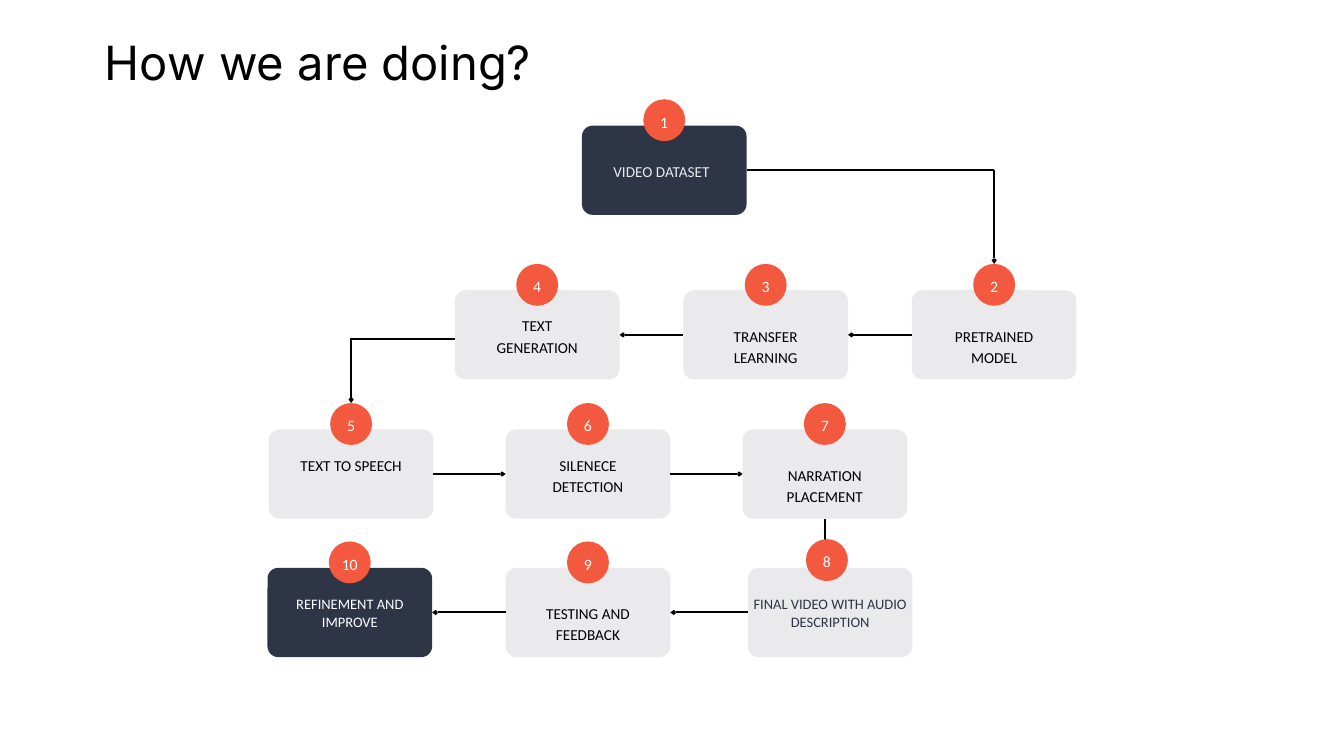
from dataclasses import dataclass
from typing import Any, Optional

from lxml.etree import SubElement
from pptx import Presentation
from pptx.dml.color import RGBColor
from pptx.enum.shapes import MSO_CONNECTOR, MSO_SHAPE
from pptx.enum.text import MSO_ANCHOR as Anchor, MSO_AUTO_SIZE, PP_ALIGN as Align
from pptx.oxml.ns import qn
from pptx.util import Pt


@dataclass(frozen=True)
class TextStyle:
    font: str
    size: float
    line: float
    align: Align = Align.CENTER


@dataclass(frozen=True)
class Theme:
    navy: str = "2D3546"
    grey: str = "EAEAEC"
    orange: str = "F2593F"
    black: str = "000000"
    white: str = "FFFFFF"
    title: TextStyle = TextStyle("Inter", 50.5, 55.6, Align.LEFT)
    label: TextStyle = TextStyle("Calibri", 16.3, 22.8)
    small: TextStyle = TextStyle("Calibri", 15.5, 18.7)
    number: TextStyle = TextStyle("Calibri", 16.9, 23.6)
    arrow_width: float = 2.25


THEME = Theme()
CARD_W, CARD_H, BADGE = 176.4, 95.6, 44.9
HIGH, LOW = 21.8, 32.6  # top margin of a label; None centres it in its card
TOP, LEFT, BOTTOM, RIGHT = range(4)
ROW_1, ROW_2, ROW_3, ROW_4 = 134.6, 311, 460.1, 608.4


@dataclass(frozen=True)
class Step:
    label: str
    x: float
    y: float
    label_top: Optional[float] = LOW
    fill: str = THEME.grey
    ink: str = THEME.black
    label_shift: float = 0
    badge_dx: float = 0
    badge_dy: float = -5.8

    @property
    def centre_x(self) -> float:
        return self.x + CARD_W / 2

    @property
    def badge_top(self) -> float:
        return self.y + self.badge_dy - BADGE / 2


STEPS = [
    Step("VIDEO DATASET", 623.5, ROW_1, fill=THEME.navy, ink=THEME.grey, label_shift=-3),
    Step("PRETRAINED MODEL", 977, ROW_2),
    Step("TRANSFER LEARNING", 732.2, ROW_2),
    Step("TEXT GENERATION", 487.4, ROW_2, HIGH),
    Step("TEXT TO SPEECH", 288, ROW_3, HIGH),
    Step("SILENECE DETECTION", 541.8, ROW_3, HIGH),
    Step("NARRATION PLACEMENT", 795.6, ROW_3),
    Step("FINAL VIDEO WITH AUDIO DESCRIPTION", 801.2, ROW_4, None, ink=THEME.navy,
         badge_dx=-3.4, badge_dy=-8.3),
    Step("TESTING AND FEEDBACK", 541.8, ROW_4),
    Step("REFINEMENT AND IMPROVE", 286.6, ROW_4, None, THEME.navy, THEME.white),
]

# Step numbers joined side to side, in reading order of the flow
SIDE_ARROWS = [
    (2, LEFT, 3, RIGHT), (3, LEFT, 4, RIGHT),
    (5, RIGHT, 6, LEFT), (6, RIGHT, 7, LEFT),
    (8, LEFT, 9, RIGHT), (9, LEFT, 10, RIGHT),
]


def assign(target: Any, values: dict[str, Any]) -> None:
    for name, value in values.items():
        setattr(target, name, value)


def write(shape: Any, words: str, style: TextStyle, ink: str, anchor: Anchor,
          margins: tuple[float, float, float, float] = (0, 0, 0, 0)) -> None:
    """Fill a shape with one styled paragraph; margins are left, top, right, bottom."""
    frame = shape.text_frame
    frame.text = words
    left, top, right, bottom = map(Pt, margins)
    assign(frame, dict(word_wrap=True, auto_size=MSO_AUTO_SIZE.NONE, vertical_anchor=anchor,
                       margin_left=left, margin_top=top,
                       margin_right=right, margin_bottom=bottom))
    paragraph = frame.paragraphs[0]
    assign(paragraph, dict(alignment=style.align, line_spacing=Pt(style.line), space_before=Pt(0)))
    font = paragraph.runs[0].font
    assign(font, dict(name=style.font, size=Pt(style.size)))
    font.color.rgb = RGBColor.from_string(ink)


def add_filled(slide: Any, preset: MSO_SHAPE, x: float, y: float, w: float, h: float,
               fill: str) -> Any:
    shape = slide.shapes.add_shape(preset, Pt(x), Pt(y), Pt(w), Pt(h))
    shape.shadow.inherit = False
    shape.fill.solid()
    shape.fill.fore_color.rgb = RGBColor.from_string(fill)
    shape.line.fill.background()
    return shape


def add_card(slide: Any, step: Step) -> Any:
    card = add_filled(slide, MSO_SHAPE.ROUNDED_RECTANGLE, step.x, step.y, CARD_W, CARD_H, step.fill)
    card.adjustments[0] = 0.12
    if step.label_top is None:
        write(card, step.label, THEME.small, step.ink, Anchor.MIDDLE, (2, 2, 2, 2))
    else:
        margins = (24.6 + step.label_shift, step.label_top, 24.6 - step.label_shift, 0)
        write(card, step.label, THEME.label, step.ink, Anchor.TOP, margins)
    return card


def add_badge(slide: Any, number: int, step: Step) -> None:
    x = step.centre_x + step.badge_dx - BADGE / 2
    badge = add_filled(slide, MSO_SHAPE.OVAL, x, step.badge_top, BADGE, BADGE, THEME.orange)
    write(badge, str(number), THEME.number, THEME.white, Anchor.MIDDLE)


def add_line(slide: Any, start: tuple[float, float] = (0, 0), end: tuple[float, float] = (0, 0),
             head: bool = True) -> Any:
    line = slide.shapes.add_connector(MSO_CONNECTOR.STRAIGHT, *map(Pt, (*start, *end)))
    line.line.width = Pt(THEME.arrow_width)
    line.line.color.rgb = RGBColor.from_string(THEME.black)
    if head:
        SubElement(line.line._get_or_add_ln(), qn("a:tailEnd"), type="arrow", w="sm", len="sm")
    SubElement(line._element.spPr, qn("a:effectLst"))
    return line


def add_arrows(slide: Any, cards: list[Any]) -> None:
    for source, source_side, target, target_side in SIDE_ARROWS:
        arrow = add_line(slide)
        arrow.begin_connect(cards[source - 1], source_side)
        arrow.end_connect(cards[target - 1], target_side)

    dataset, pretrained, generation, speech, narration, final = (STEPS[i] for i in (0, 1, 3, 4, 6, 7))
    turn_y = dataset.y + CARD_H / 2
    across = add_line(slide, end=(pretrained.centre_x, turn_y), head=False)
    across.begin_connect(cards[0], RIGHT)
    add_line(slide, (pretrained.centre_x, turn_y), (pretrained.centre_x, pretrained.badge_top))

    turn_y = 363.6
    add_line(slide, (generation.x, turn_y), (speech.centre_x - 1.2, turn_y), head=False)
    add_line(slide, (speech.centre_x, turn_y - 1.2), (speech.centre_x, speech.badge_top))

    down = add_line(slide, end=(narration.centre_x, final.badge_top + BADGE))
    down.begin_connect(cards[6], BOTTOM)


def main() -> None:
    deck = Presentation()
    assign(deck, dict(slide_width=Pt(1440), slide_height=Pt(810)))
    slide = deck.slides.add_slide(deck.slide_layouts[5])

    title = slide.shapes.title
    assign(title, dict(left=Pt(112.3), top=Pt(40.3), width=Pt(494.6), height=Pt(119.5)))
    write(title, "How we are doing?", THEME.title, THEME.black, Anchor.TOP)

    cards = [add_card(slide, step) for step in STEPS]
    add_arrows(slide, cards)
    for number, step in enumerate(STEPS, start=1):
        add_badge(slide, number, step)

    deck.save("out.pptx")


if __name__ == "__main__":
    main()
